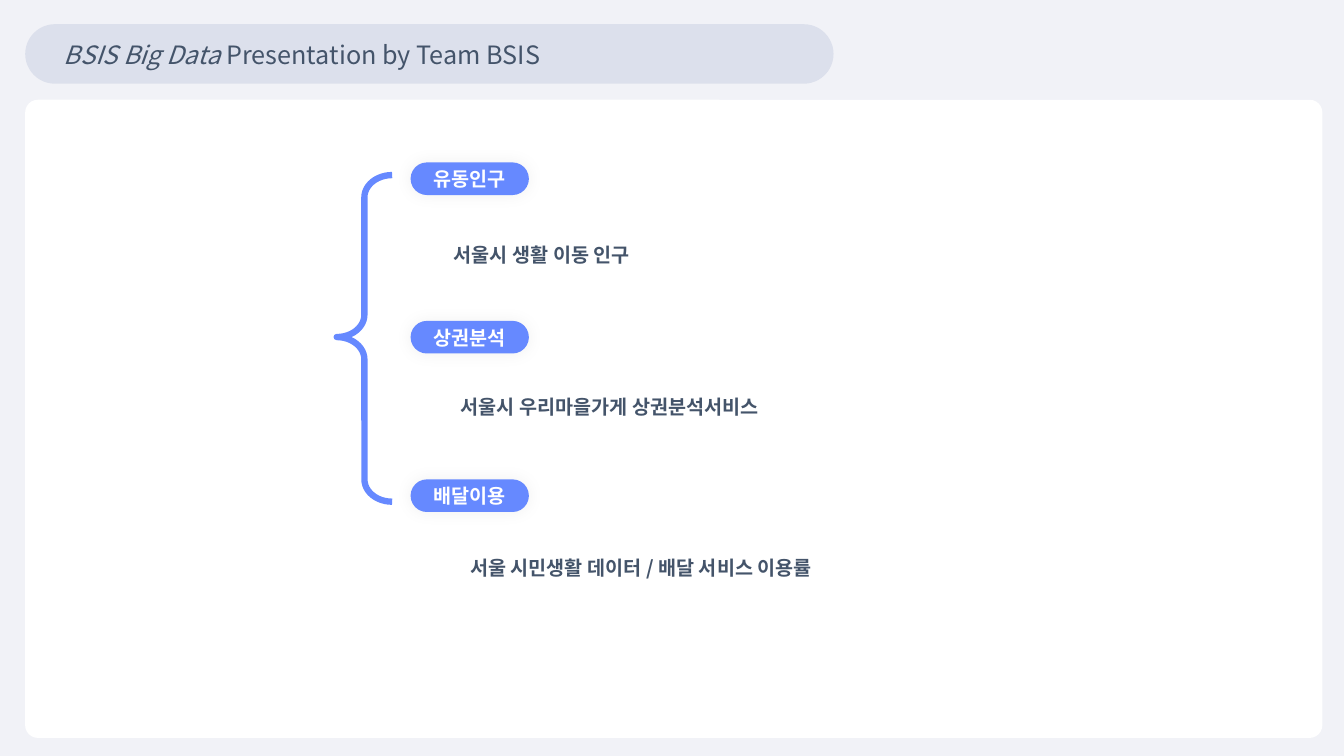
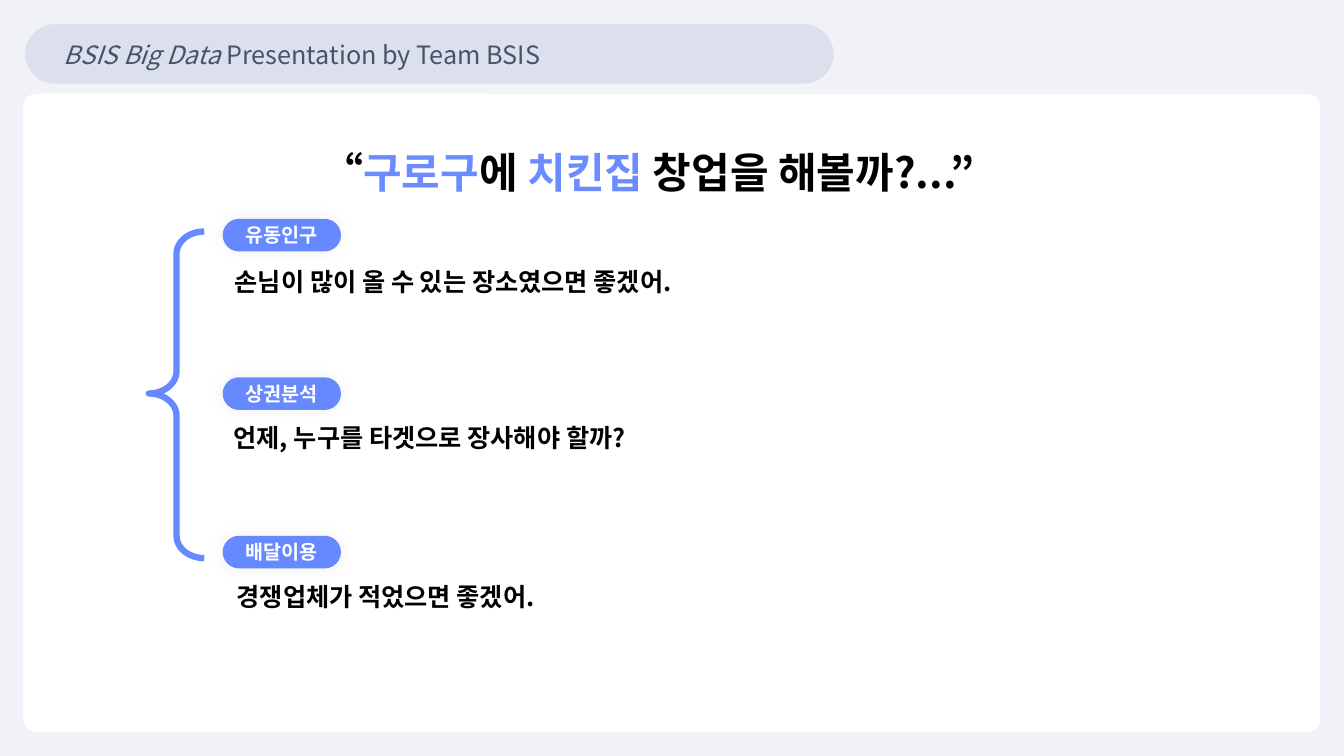
from pptx import Presentation
from pptx.dml.color import RGBColor
from pptx.enum.shapes import MSO_SHAPE
from pptx.enum.text import MSO_ANCHOR, MSO_AUTO_SIZE, PP_ALIGN
from pptx.oxml import parse_xml
from pptx.oxml.ns import nsdecls, qn
from pptx.util import Pt
from lxml import etree

ROUND = MSO_SHAPE.ROUNDED_RECTANGLE
BRACE = MSO_SHAPE.LEFT_BRACE
MIDDLE = MSO_ANCHOR.MIDDLE
GROW = MSO_AUTO_SIZE.SHAPE_TO_FIT_TEXT
LEFT, CENTER = PP_ALIGN.LEFT, PP_ALIGN.CENTER

FONT = "Noto Sans CJK KR"
COLORS = {
    "back": "F1F2F7",
    "card": "FFFFFF",
    "band": "DCE0EC",
    "blue": "6689FF",
    "mark": "6A8CFF",
    "slate": "44546A",
    "black": "000000",
    "white": "FFFFFF",
}
TOPICS = ["유동인구", "상권분석", "배달이용"]
STEP = 113.2
SHADOW = (
    f'<a:effectLst {nsdecls("a")}><a:outerShdw blurRad="{Pt(12)}" dist="0" '
    'algn="ctr" rotWithShape="0"><a:srgbClr val="000000">'
    '<a:alpha val="5000"/></a:srgbClr></a:outerShdw></a:effectLst>'
)


def color(name):
    return RGBColor.from_string(COLORS[name])


def write(frame, runs, size=14, tone="black", bold=False, align=LEFT,
          space=None, indent=0, wrap=True):
    frame.word_wrap = wrap
    para = frame.paragraphs[0]
    para.alignment = align
    if space:
        para.line_spacing = space
    if indent:
        para._p.get_or_add_pPr().set("marL", str(Pt(indent)))
    if isinstance(runs, str):
        runs = [(runs, {})]
    for text, style in runs:
        run = para.add_run()
        run.text = text
        font = run.font
        font.size = Pt(size)
        font.bold = bold
        font.italic = style.get("italic", False)
        font.color.rgb = color(style.get("tone", tone))
        font.name = FONT
        east = etree.SubElement(run._r.get_or_add_rPr(), qn("a:ea"))
        east.set("typeface", FONT)


def label(slide, box, runs, **style):
    frame = slide.shapes.add_textbox(*map(Pt, box)).text_frame
    write(frame, runs, **style)
    frame.auto_size = GROW


def panel(slide, box, fill, curve):
    shape = slide.shapes.add_shape(ROUND, *map(Pt, box))
    shape.adjustments[0] = curve
    shape.shadow.inherit = False
    shape.fill.solid()
    shape.fill.fore_color.rgb = color(fill)
    shape.line.fill.background()
    shape.text_frame.vertical_anchor = MIDDLE
    return shape


def pill(slide, left, top, text):
    shape = panel(slide, (left, top, 83.5, 22.3), "blue", 0.5)
    shape.line.color.rgb = color("blue")
    shape.line.width = Pt(1)
    props = shape._element.spPr
    props.replace(props.find(qn("a:effectLst")), parse_xml(SHADOW))
    write(shape.text_frame, text, tone="white", bold=True,
          align=CENTER, wrap=False)


def brace(slide, left, top):
    shape = slide.shapes.add_shape(BRACE, *map(Pt, (left, top, 39.6, 233.3)))
    shape.adjustments[0] = 0.402
    shape.adjustments[1] = 0.496
    shape.shadow.inherit = False
    shape.fill.background()
    shape.line.color.rgb = color("blue")
    shape.line.width = Pt(4.5)


def topics(slide, left, top):
    for row, text in enumerate(TOPICS):
        pill(slide, left, top + row * STEP, text)
    brace(slide, left - 53.3, top + 8.6)


def page(deck, left, top):
    slide = deck.slides.add_slide(deck.slide_layouts[6])
    slide.background.fill.solid()
    slide.background.fill.fore_color.rgb = color("back")
    panel(slide, (left, top, 926.6, 455.8), "card", 0.02)
    band = panel(slide, (18, 17.3, 577.4, 42.5), "band", 0.5)
    write(band.text_frame, [
        ("BSIS Big Data ", {"italic": True}),
        ("Presentation by Team BSIS", {}),
    ], size=18, tone="slate", indent=14.4)
    return slide


def sources(deck):
    slide = page(deck, 18, 71.3)
    topics(slide, 293.8, 116.5)
    for top, width, text in [
        (161.3, 186.5, "서울시 생활 이동 인구"),
        (270.2, 283.7, "서울시 우리마을가게 상권분석서비스"),
        (385.2, 328.3, "서울 시민생활 데이터 / 배달 서비스 이용률"),
    ]:
        label(slide, (293.8, top, width, 32.4), text, tone="slate",
              bold=True, align=CENTER, space=1.5)


def question(deck):
    slide = page(deck, 16.6, 67)
    label(slide, (222.5, 100.8, 514.8, 43.2), [
        ("“", {}),
        ("구로구", {"tone": "mark"}),
        ("에 ", {}),
        ("치킨집", {"tone": "mark"}),
        (" 창업을 해볼까?...”", {}),
    ], size=30, bold=True)
    topics(slide, 159.6, 156.8)
    for left, top, text in [
        (160.6, 186.5, "손님이 많이 올 수 있는 장소였으면 좋겠어."),
        (159.8, 298.1, "언제, 누구를 타겟으로 장사해야 할까?"),
        (162, 411.8, "경쟁업체가 적었으면 좋겠어."),
    ]:
        label(slide, (left, top, 378, 28.8), text, size=18, bold=True)


def main():
    deck = Presentation()
    deck.slide_width, deck.slide_height = Pt(960), Pt(540)
    sources(deck)
    question(deck)
    deck.save("out.pptx")


if __name__ == "__main__":
    main()
